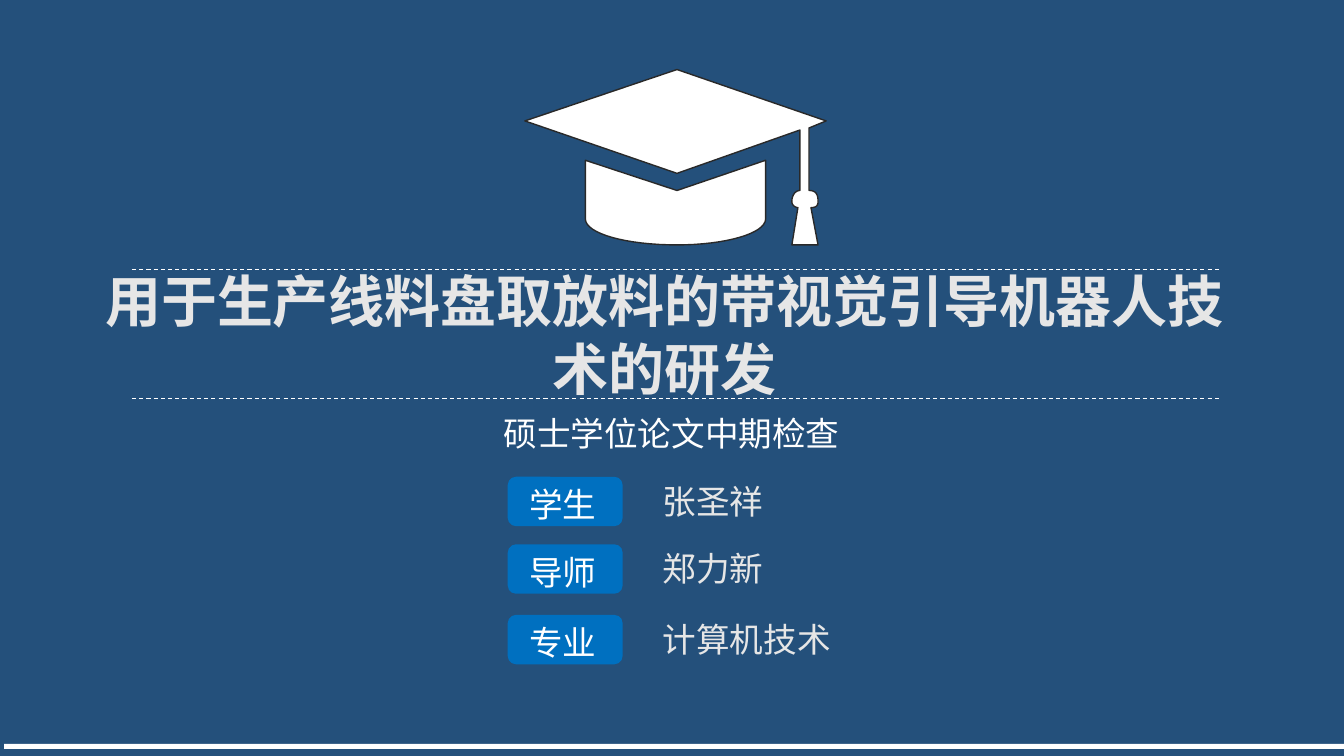
"""Build the cover slide of a thesis midterm review."""
from pptx import Presentation
from pptx.dml.color import RGBColor
from pptx.enum.dml import MSO_LINE
from pptx.enum.shapes import MSO_CONNECTOR, MSO_SHAPE
from pptx.enum.text import MSO_ANCHOR, PP_ALIGN
from pptx.oxml.ns import qn
from pptx.util import Pt
from lxml.etree import SubElement

PX = 9144
NAVY = RGBColor(0x24, 0x50, 0x7B)
BLUE = RGBColor(0x00, 0x70, 0xC0)
WHITE = RGBColor(0xFF, 0xFF, 0xFF)
PALE = RGBColor(0xE6, 0xE6, 0xE6)
DARK = RGBColor(0x29, 0x29, 0x29)
SANS = "Noto Sans CJK SC"


def write(shape, text, size, color, name, align, anchor, bold=False):
    frame = shape.text_frame
    frame.word_wrap = True
    frame.vertical_anchor = anchor
    par = frame.paragraphs[0]
    par.text = text
    par.alignment = align
    font = par.font
    font.size, font.name, font.bold = Pt(size), name, bold
    font.color.rgb = color


def bend(a, b, c, d, steps=16):
    spots = [i / steps for i in range(1, steps + 1)]
    return [tuple((1 - t) ** 3 * p + 3 * t * (1 - t) ** 2 * q
                  + 3 * t * t * (1 - t) * r + t ** 3 * s
                  for p, q, r, s in zip(a, b, c, d)) for t in spots]


deck = Presentation()
deck.slide_width, deck.slide_height = 1334 * PX, 750 * PX
slide = deck.slides.add_slide(deck.slide_layouts[6])
slide.background.fill.solid()
slide.background.fill.fore_color.rgb = NAVY
shapes = slide.shapes

title = shapes.add_textbox(73 * PX, 267 * PX, 1173 * PX, 129 * PX)
write(title, "用于生产线料盘取放料的带视觉引导机器人技术的研发", 40, PALE, SANS,
      PP_ALIGN.CENTER, MSO_ANCHOR.MIDDLE, True)
topic = shapes.add_textbox(80 * PX, 412 * PX, 1173 * PX, 35 * PX)
write(topic, "硕士学位论文中期检查", 24, WHITE, SANS,
      PP_ALIGN.CENTER, MSO_ANCHOR.MIDDLE)

for y in (267, 395):
    rule = shapes.add_connector(MSO_CONNECTOR.STRAIGHT,
                                131 * PX, y * PX, 1210 * PX, y * PX)
    rule.line.color.rgb = WHITE
    rule.line.width = Pt(0.75)
    rule.line.dash_style = MSO_LINE.DASH
    SubElement(rule.element.spPr, qn("a:effectLst"))

bar = shapes.add_shape(MSO_SHAPE.RECTANGLE, 4 * PX, 738 * PX, 1330 * PX, 5 * PX)
bar.shadow.inherit = False
bar.fill.solid()
bar.fill.fore_color.rgb = WHITE
bar.line.fill.background()

board = [(803, 189), (803, 127), (820, 120), (672, 69), (521, 120),
         (672, 172), (794, 129), (794, 189)]
board += bend((794, 189), (790, 189), (786, 193), (786, 200))
board += bend((786, 200), (786, 204), (790, 206), (792, 206))
board += [(786, 243), (812, 243), (805, 206)]
board += bend((805, 206), (810, 206), (812, 204), (812, 200))
board += bend((812, 200), (812, 193), (810, 189), (803, 189))
crown = [(581, 159), (581, 217)]
crown += bend((581, 217), (581, 232), (622, 243), (672, 243))
crown += bend((672, 243), (719, 243), (760, 232), (760, 217))
crown += [(760, 159), (672, 189)]

board, crown = ([(x * PX, y * PX) for x, y in part] for part in (board, crown))
pen = shapes.build_freeform(*board[0], scale=1.0)
pen.add_line_segments(board[1:], close=True)
pen.move_to(*crown[0])
pen.add_line_segments(crown[1:], close=True)
cap = pen.convert_to_shape()
cap.shadow.inherit = False
cap.fill.solid()
cap.fill.fore_color.rgb = WHITE
cap.line.color.rgb = DARK
cap.line.width = Pt(1)

people = [(473, "学生", "张圣祥"), (540, "导师", "郑力新"), (610, "专业", "计算机技术")]
for y, role, name in people:
    tag = shapes.add_shape(MSO_SHAPE.ROUNDED_RECTANGLE,
                           504 * PX, y * PX, 114 * PX, 49 * PX)
    tag.shadow.inherit = False
    tag.fill.solid()
    tag.fill.fore_color.rgb = BLUE
    tag.line.fill.background()
    tag.text_frame.margin_left = 19 * PX
    write(tag, role, 24, WHITE, "Arial", PP_ALIGN.LEFT, MSO_ANCHOR.TOP)
    label = shapes.add_textbox(648 * PX, (y - 1) * PX, 209 * PX, 50 * PX)
    write(label, name, 24, PALE, "Arial", PP_ALIGN.LEFT, MSO_ANCHOR.TOP)

deck.save("out.pptx")
